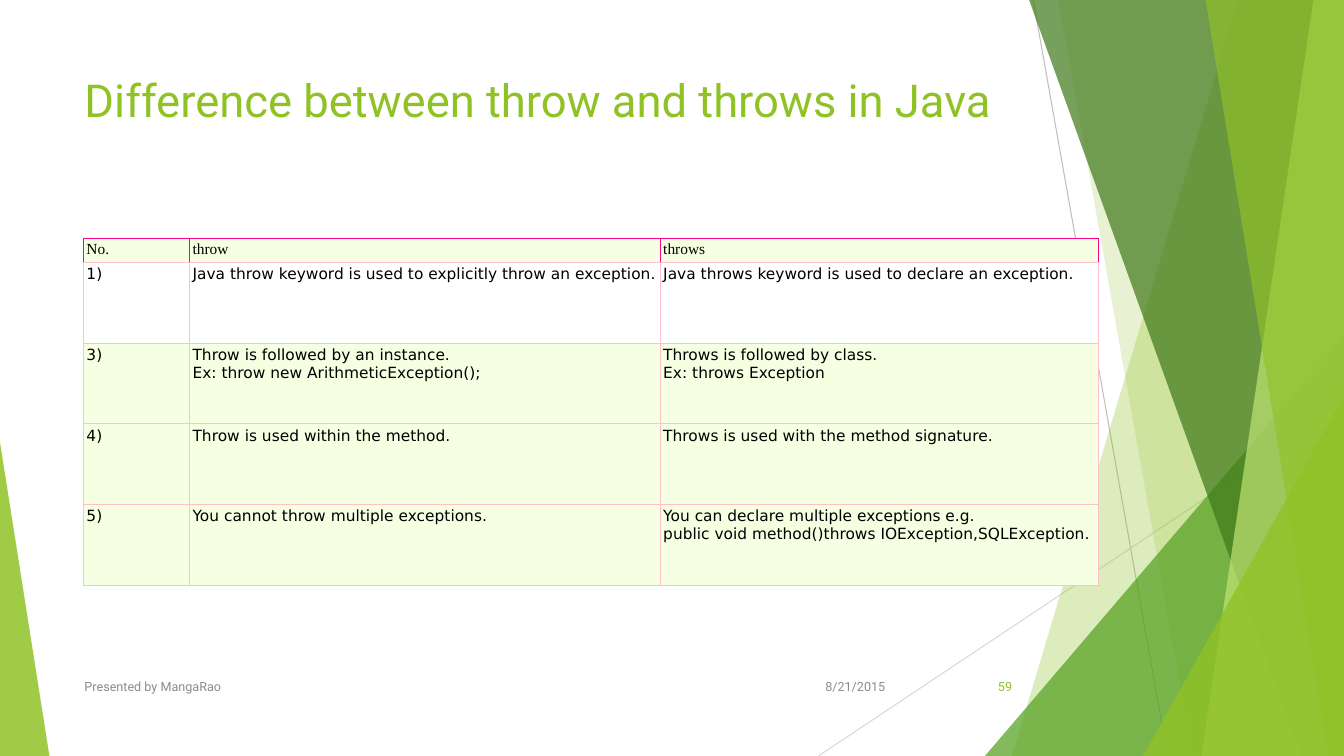
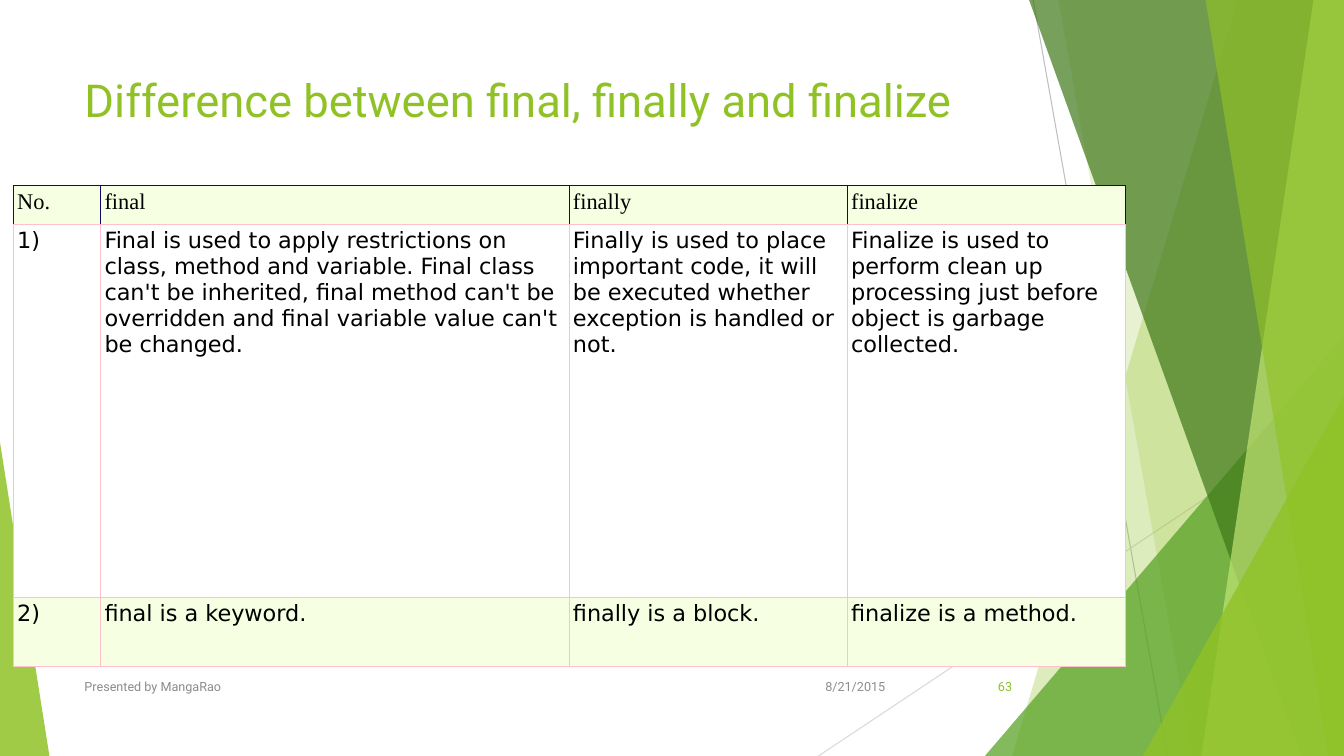
from dataclasses import dataclass

from lxml import etree
from pptx import Presentation
from pptx.dml.color import RGBColor
from pptx.enum import shapes, text
from pptx.oxml import ns
from pptx.util import Pt

WIDTH, HEIGHT = 960, 540
COLORS = {
    "lime": "90C226", "green": "54A021", "forest": "3F7819", "pale lime": "C0E474",
    "silver": "BFBFBF", "light gray": "D9D9D9", "gray": "8C8C8C", "black": "000000",
    "white": "FFFFFF", "cream": "F6FFE1",
    "pink": "FFC0CB", "magenta": "F8058E", "navy": "100965",
}
TITLE_FONT, HEADER_FONT, BODY_FONT = "Roboto", "Times New Roman", "DejaVu Sans"
BORDER_WIDTH = 0.6


@dataclass
class Ray:
    start: tuple[float, float]
    end: tuple[float, float]
    color: str


@dataclass
class Blade:
    """A band from a slanted left edge to the right side of the slide."""
    top_x: float
    bottom_x: float
    color: str
    opacity: int


@dataclass
class Wedge:
    """A right triangle standing on the bottom of the slide."""
    left: float
    top: float
    width: float
    apex: float
    color: str
    opacity: int


@dataclass
class Label:
    left: float
    top: float
    width: float
    height: float
    size: float
    color: str
    align: text.PP_ALIGN = text.PP_ALIGN.LEFT
    anchor: text.MSO_ANCHOR = text.MSO_ANCHOR.MIDDLE


@dataclass
class Comparison:
    title: str
    number: str
    left: float
    top: float
    columns: list[float]
    heights: list[float]
    size: float
    inset: float
    header_border: str
    rows: list[list[str]]


RAYS = [
    Ray((738, 0), (834, HEIGHT), "silver"),
    Ray((WIDTH, 290), (584.6, HEIGHT), "light gray"),
]
FACETS = [
    Blade(884.2, 722.9, "lime", 30),
    Blade(756, 851.8, "lime", 20),
    Wedge(703.5, 240, 256.5, 1, "green", 72),
    Blade(735.1, 929.5, "forest", 70),
    Blade(938.2, 858.2, "pale lime", 70),
    Blade(861.1, 949, "lime", 65),
    Wedge(816.5, 283, 143.5, 1, "lime", 80),
    Wedge(0, 316, 35.3, 0, "lime", 85),
]
TITLE = Label(53.3, 48.2, 676.8, 103.7, 32.4, "lime", anchor=text.MSO_ANCHOR.TOP)
DATE = Label(567.4, 476, 72, 28.8, 9, "gray", text.PP_ALIGN.RIGHT)
FOOTER = Label(53.3, 476, 496, 28.8, 9, "gray")
NUMBER = Label(676, 476, 54, 28.8, 9, "lime", text.PP_ALIGN.RIGHT)

# In cell texts \n starts a paragraph and \v breaks a line.
COMPARISONS = [
    Comparison(
        "Difference between throw and throws in Java", "59",
        59.6, 170, [75.8, 336.2, 313.2], [17.3] + [57.6] * 4, 11, 2.16, "magenta",
        [
            ["No.", "throw", "throws"],
            ["1)", "Java throw keyword is used to explicitly throw an exception.",
             "Java throws keyword is used to declare an exception."],
            ["3)", "Throw is followed by an instance.\nEx: throw new ArithmeticException();",
             "Throws is followed by class.\nEx: throws Exception"],
            ["4)", "Throw is used within the method.",
             "Throws is used with the method signature."],
            ["5)", "You cannot throw multiple exceptions.",
             "You can declare multiple exceptions e.g.\v"
             "public void method()throws IOException,SQLException."],
        ],
    ),
    Comparison(
        "Difference between final, finally and finalize", "63",
        9.4, 132.5, [62.4, 334.6, 198.7, 198.7], [27.6, 266.4, 49.5], 16, 2.9, "navy",
        [
            ["No.", "final", "finally", "finalize"],
            ["1)", "Final is used to apply restrictions on class, method and variable. "
             "Final class can't be inherited, final method can't be overridden and "
             "final variable value can't be changed.",
             "Finally is used to place important code, it will be executed whether "
             "exception is handled or not.",
             "Finalize is used to perform clean up processing just before object is "
             "garbage collected."],
            ["2)", "final is a keyword.", "finally is a block.", "finalize is a method."],
        ],
    ),
]


def rgb(color: str) -> RGBColor:
    return RGBColor.from_string(COLORS[color])


def style_paragraph(paragraph, font_name: str, size: float, color: str) -> None:
    font = paragraph.font
    font.name, font.size = font_name, Pt(size)
    font.color.rgb = rgb(color)


def add_ray(slide, ray: Ray) -> None:
    connector = slide.shapes.add_connector(
        shapes.MSO_CONNECTOR.STRAIGHT, *map(Pt, ray.start + ray.end))
    connector.line.color.rgb = rgb(ray.color)
    connector.line.width = Pt(0.75)
    etree.SubElement(connector.element.spPr, ns.qn("a:effectLst"))


def add_facet(slide, facet: Blade | Wedge) -> None:
    if isinstance(facet, Blade):
        builder = slide.shapes.build_freeform(Pt(facet.top_x), 0)
        corners = [(WIDTH, 0), (WIDTH, HEIGHT), (facet.bottom_x, HEIGHT)]
        builder.add_line_segments([(Pt(x), Pt(y)) for x, y in corners])
        shape = builder.convert_to_shape()
    else:
        shape = slide.shapes.add_shape(
            shapes.MSO_SHAPE.ISOSCELES_TRIANGLE, Pt(facet.left), Pt(facet.top),
            Pt(facet.width), Pt(HEIGHT - facet.top))
        shape.adjustments[0] = facet.apex
    shape.shadow.inherit = False
    shape.line.fill.background()
    shape.fill.solid()
    shape.fill.fore_color.rgb = rgb(facet.color)
    color = shape.element.spPr.find(".//" + ns.qn("a:srgbClr"))
    etree.SubElement(color, ns.qn("a:alpha"), val=str(facet.opacity * 1000))


def add_label(slide, label: Label, words: str) -> None:
    box = slide.shapes.add_textbox(
        Pt(label.left), Pt(label.top), Pt(label.width), Pt(label.height))
    frame = box.text_frame
    frame.word_wrap = True
    frame.vertical_anchor = label.anchor
    frame.text = words
    paragraph = frame.paragraphs[0]
    paragraph.alignment = label.align
    style_paragraph(paragraph, TITLE_FONT, label.size, label.color)


def set_borders(cell, side_color: str) -> None:
    """Colour the left, right and top borders; the bottom one is always pink."""
    properties = cell._tc.get_or_add_tcPr()
    for side in "LRTB":
        line = etree.SubElement(
            properties, ns.qn(f"a:ln{side}"), w=str(Pt(BORDER_WIDTH)))
        fill = etree.SubElement(line, ns.qn("a:solidFill"))
        color = "pink" if side == "B" else side_color
        etree.SubElement(fill, ns.qn("a:srgbClr"), val=COLORS[color])


def fill_cell(cell, words: str, row: int, comparison: Comparison) -> None:
    is_header = row == 0
    set_borders(cell, comparison.header_border if is_header else "pink")
    cell.fill.solid()
    cell.fill.fore_color.rgb = rgb("white" if row == 1 else "cream")
    inset = Pt(comparison.inset)
    cell.margin_left = cell.margin_right = cell.margin_top = cell.margin_bottom = inset
    cell.text = words
    for paragraph in cell.text_frame.paragraphs:
        style_paragraph(paragraph, HEADER_FONT if is_header else BODY_FONT,
                        comparison.size, "black")


def add_comparison_table(slide, comparison: Comparison) -> None:
    columns, heights = comparison.columns, comparison.heights
    table = slide.shapes.add_table(
        len(heights), len(columns), Pt(comparison.left), Pt(comparison.top),
        Pt(sum(columns)), Pt(sum(heights))).table
    table.first_row = table.horz_banding = False
    for column, width in zip(table.columns, columns):
        column.width = Pt(width)
    for row, height in zip(table.rows, heights):
        row.height = Pt(height)
    for row_index, row_words in enumerate(comparison.rows):
        for column_index, words in enumerate(row_words):
            fill_cell(table.cell(row_index, column_index), words, row_index, comparison)


def add_slide(presentation, comparison: Comparison) -> None:
    slide = presentation.slides.add_slide(presentation.slide_layouts[6])
    for ray in RAYS:
        add_ray(slide, ray)
    for facet in FACETS:
        add_facet(slide, facet)
    add_label(slide, TITLE, comparison.title)
    add_comparison_table(slide, comparison)
    add_label(slide, DATE, "8/21/2015")
    add_label(slide, FOOTER, "Presented by MangaRao")
    add_label(slide, NUMBER, comparison.number)


def main() -> None:
    presentation = Presentation()
    presentation.slide_width, presentation.slide_height = Pt(WIDTH), Pt(HEIGHT)
    for comparison in COMPARISONS:
        add_slide(presentation, comparison)
    presentation.save("out.pptx")


if __name__ == "__main__":
    main()
